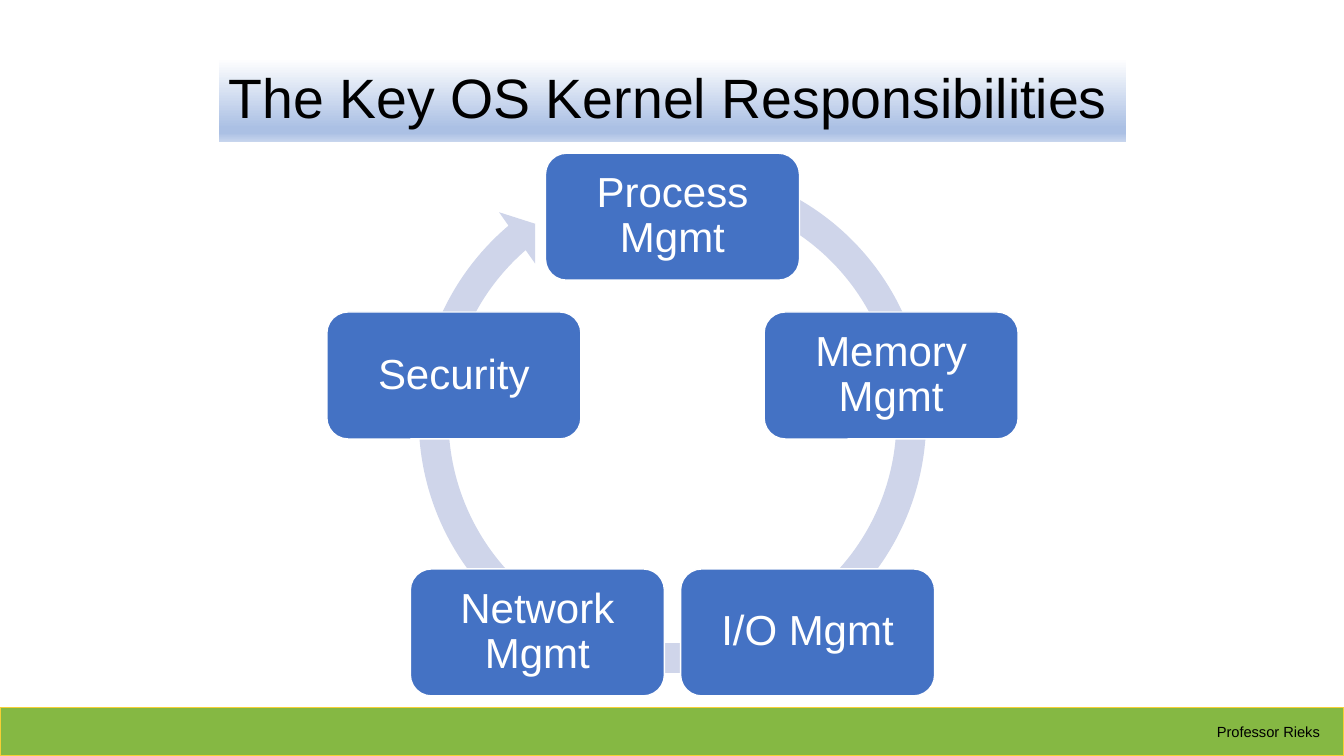
from dataclasses import dataclass
from math import cos, radians, sin

from lxml import etree
from pptx import Presentation
from pptx.dml.color import RGBColor
from pptx.enum.shapes import MSO_SHAPE
from pptx.enum.text import MSO_ANCHOR, PP_ALIGN
from pptx.oxml.ns import qn
from pptx.util import Inches, Pt

RECT, ROUND, ARROW = MSO_SHAPE.RECTANGLE, MSO_SHAPE.ROUNDED_RECTANGLE, MSO_SHAPE.CIRCULAR_ARROW
LEFT, CENTER = PP_ALIGN.LEFT, PP_ALIGN.CENTER
MIDDLE, TOP = MSO_ANCHOR.MIDDLE, MSO_ANCHOR.TOP


@dataclass
class Area:
    x: float
    y: float
    w: float
    h: float

    def spans(self) -> list:
        return [Inches(v) for v in (self.x, self.y, self.w, self.h)]


@dataclass
class Style:
    size: float
    color: str
    align: PP_ALIGN = LEFT
    anchor: MSO_ANCHOR = MIDDLE
    space: float = 0.9
    side: float = 0.1
    edge: float = 0.05


DUTIES = ["Process Mgmt", "Memory Mgmt", "I/O Mgmt", "Network Mgmt", "Security"]
HUB_X, HUB_Y, RADIUS = 6.67, 4.43, 2.28
BOX_W, BOX_H = 2.52, 1.26
STOPS = [(0, "FFFFFF"), (83, "ABC0E4"), (89, "ABC0E4"), (100, "C7D5ED")]
HEAD = Style(39.6, "000000")
DUTY = Style(30, "FFFFFF", CENTER, side=0.12, edge=0.12)
FOOT = Style(10.5, "000000", anchor=TOP, space=1)


def color(code: str) -> RGBColor:
    return RGBColor.from_string(code)


def write(shape, text: str, style: Style) -> None:
    frame = shape.text_frame
    side, edge = Inches(style.side), Inches(style.edge)
    form = {"text": text, "word_wrap": True, "vertical_anchor": style.anchor,
            "margin_left": side, "margin_right": side,
            "margin_top": edge, "margin_bottom": edge}
    for key, value in form.items():
        setattr(frame, key, value)
    para = frame.paragraphs[0]
    para.alignment, para.line_spacing = style.align, style.space
    font = para.runs[0].font
    font.name, font.size = "Arial", Pt(style.size)
    font.color.rgb = color(style.color)


def draw(slide, kind: MSO_SHAPE, area: Area, fill: str, line: str = ""):
    shape = slide.shapes.add_shape(kind, *area.spans())
    shape.shadow.inherit = False
    shape.fill.solid()
    shape.fill.fore_color.rgb = color(fill)
    if line:
        shape.line.color.rgb = color(line)
        shape.line.width = Pt(1)
    else:
        shape.line.fill.background()
    return shape


def shade(shape, stops: list) -> None:
    """Fill from top to bottom with (percent, colour) stops."""
    shape.fill.gradient()
    shape.fill.gradient_angle = 270
    group = next(shape.element.iter(qn("a:gsLst")))
    for old in list(group):
        group.remove(old)
    for place, code in stops:
        stop = etree.SubElement(group, qn("a:gs"), pos=str(place * 1000))
        etree.SubElement(stop, qn("a:srgbClr"), val=code)


def add_title(slide) -> None:
    title = slide.shapes.title
    title.left, title.top, title.width, title.height = Area(2.17, 0.58, 9, 0.83).spans()
    shade(title, STOPS)
    write(title, "The Key OS Kernel Responsibilities", HEAD)


def add_footer(slide) -> None:
    draw(slide, RECT, Area(0, 7.02, 13.33, 0.48), "85B843", "F6CF35")
    label = slide.shapes.add_textbox(*Area(11.97, 7.12, 1.31, 0.29).spans())
    write(label, "Professor Rieks", FOOT)


def add_cycle(slide) -> None:
    ring = draw(slide, ARROW, Area(3.99, 1.48, 5.36, 5.36), "CFD5EA")
    for i, value in enumerate([0.055, 3.307, 137.655, 173.923, 0.058]):
        ring.adjustments[i] = value
    for i, duty in enumerate(DUTIES):
        turn = radians(360 / len(DUTIES) * i)
        x = HUB_X + RADIUS * sin(turn) - BOX_W / 2
        y = HUB_Y - RADIUS * cos(turn) - BOX_H / 2
        box = draw(slide, ROUND, Area(x, y, BOX_W, BOX_H), "4472C4", "FFFFFF")
        write(box, duty, DUTY)


def main() -> None:
    deck = Presentation()
    deck.slide_width, deck.slide_height = Inches(13.33), Inches(7.5)
    slide = deck.slides.add_slide(deck.slide_layouts.get_by_name("Title Only"))
    add_footer(slide)
    add_title(slide)
    add_cycle(slide)
    deck.save("out.pptx")


if __name__ == "__main__":
    main()
